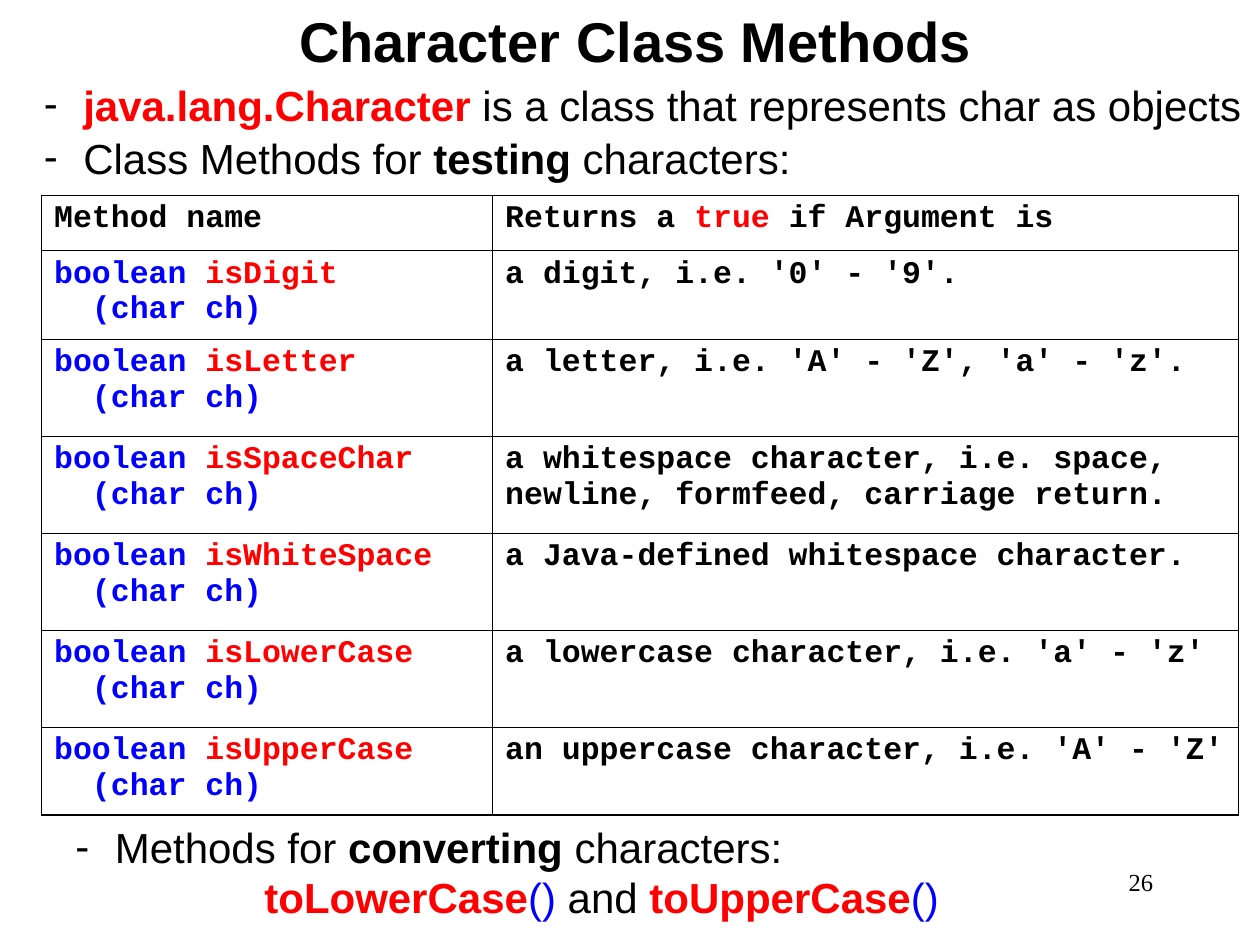
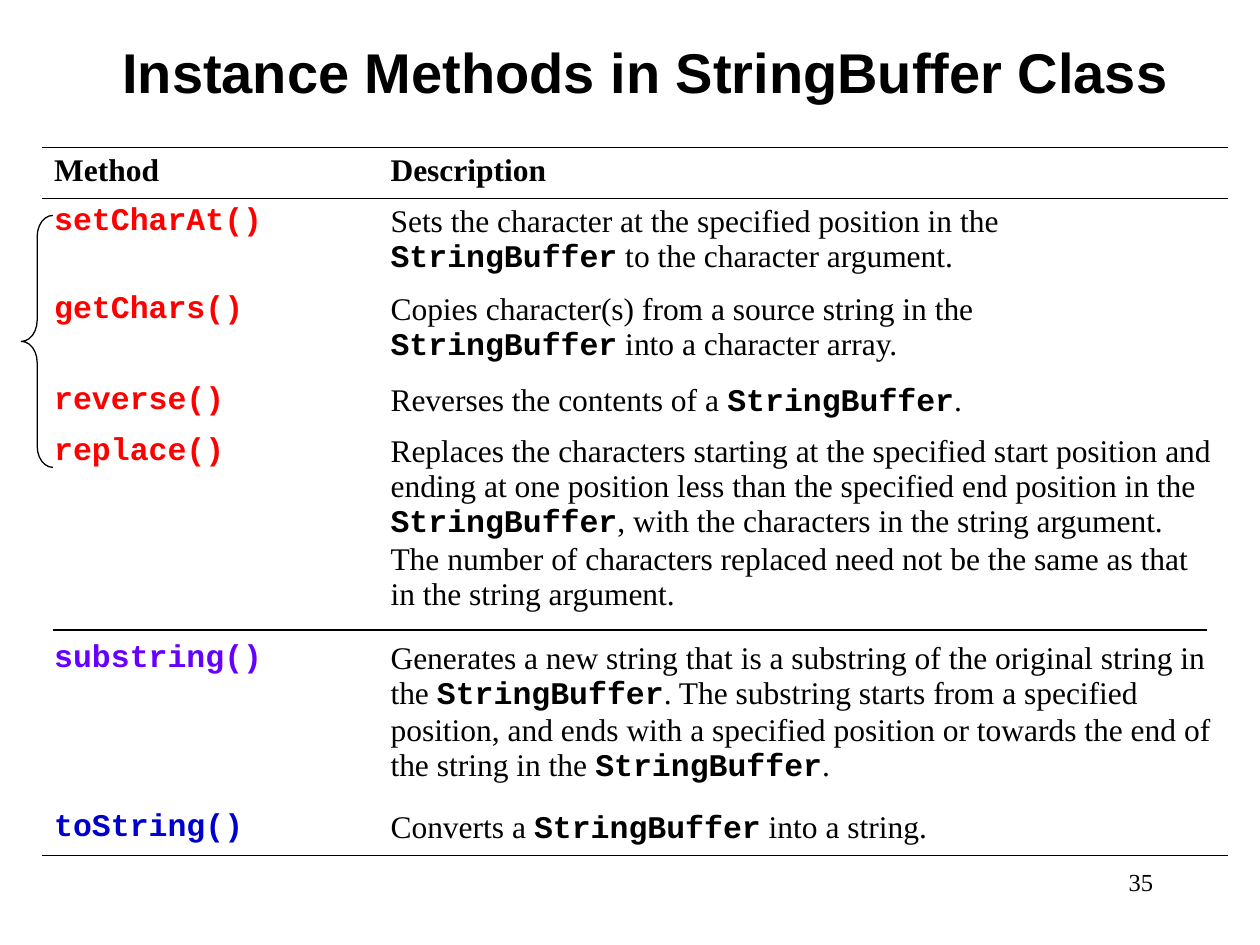
from dataclasses import dataclass
from typing import NamedTuple

import pptx
import pptx.dml.color
import pptx.enum.shapes
import pptx.enum.text
import pptx.oxml
import pptx.oxml.ns
import pptx.util

Inches = pptx.util.Inches
Pt = pptx.util.Pt
ALIGN = pptx.enum.text.PP_ALIGN

COLORS = {
    "black": "000000",
    "red": "FF0000",
    "blue": "0000FF",
    "navy": "0000CC",
    "violet": "6600FF",
}
SANS, MONO, SERIF = "Arial", "Courier New", "Times New Roman"
THIN, THICK = 0.34, 0.96


class Span(NamedTuple):
    text: str
    font: str = SANS
    color: str = "black"
    bold: bool = False


@dataclass
class Line:
    spans: list[Span]
    indent: float = 0
    bullet: bool = False


class Box(NamedTuple):
    left: float
    top: float
    width: float
    height: float

    def lengths(self) -> list[int]:
        return [Inches(value) for value in self]


class TableRow(NamedTuple):
    height: float
    cells: list[list[Line]]


def code(text: str, color: str = "black") -> Span:
    return Span(text, MONO, color, True)


def prose(text: str) -> Span:
    return Span(text, SERIF)


def rgb(name: str):
    return pptx.dml.color.RGBColor.from_string(COLORS[name])


def write_lines(text_frame, lines: list[Line], size: float, align=ALIGN.LEFT) -> None:
    text_frame.word_wrap = True
    for index, line in enumerate(lines):
        paragraph = text_frame.paragraphs[0] if index == 0 else text_frame.add_paragraph()
        paragraph.alignment = align
        properties = paragraph._p.get_or_add_pPr()
        properties.set("marL", str(Inches(line.indent)))
        properties.set("indent", str(-Inches(line.indent) if line.bullet else 0))
        if line.bullet:
            paragraph.space_before = Pt(1.5)
            namespace = pptx.oxml.ns.nsdecls("a")
            properties.append(pptx.oxml.parse_xml(f'<a:buFont {namespace} typeface="{SANS}"/>'))
            properties.append(pptx.oxml.parse_xml(f'<a:buChar {namespace} char="-"/>'))
        for span in line.spans:
            run = paragraph.add_run()
            run.text = span.text
            run.font.name = span.font
            run.font.size = Pt(size)
            run.font.bold = span.bold
            run.font.color.rgb = rgb(span.color)


def add_text(slide, box: Box, lines: list[Line], size: float, align=ALIGN.LEFT) -> None:
    shape = slide.shapes.add_textbox(*box.lengths())
    write_lines(shape.text_frame, lines, size, align)


def add_titled_slide(presentation, title: str, title_box: Box, number: int):
    """Add a blank slide with its heading and page number."""
    slide = presentation.slides.add_slide(presentation.slide_layouts[6])
    add_text(slide, title_box, [Line([Span(title, bold=True)])], 32, ALIGN.CENTER)
    add_text(slide, Box(7.17, 6.83, 2.08, 0.5), [Line([prose(str(number))])], 14, ALIGN.RIGHT)
    return slide


def set_borders(cell, widths: dict[str, float]) -> None:
    """Draw the sides named in widths (L, R, T, B) and clear the others."""
    properties = cell._tc.get_or_add_tcPr()
    namespace = pptx.oxml.ns.nsdecls("a")
    for side in "LRTB":
        width = widths.get(side, 0)
        paint = (
            f'<a:solidFill><a:srgbClr val="{COLORS["black"]}"/></a:solidFill>'
            if width else "<a:noFill/>"
        )
        properties.append(pptx.oxml.parse_xml(
            f'<a:ln{side} {namespace} w="{Pt(width)}">{paint}</a:ln{side}>'
        ))


def add_method_table(slide, box: Box, columns: list[float], rows: list[TableRow], grid: bool) -> None:
    """Add a table with thick top and bottom rules, and thin inner lines if grid is set."""
    table = slide.shapes.add_table(len(rows), len(columns), *box.lengths()).table
    table.first_row = table.horz_banding = False
    for column, width in zip(table.columns, columns):
        column.width = Inches(width)
    last = len(rows) - 1
    for index, row in enumerate(rows):
        table.rows[index].height = Inches(row.height)
        borders = dict.fromkeys("LRTB", THIN) if grid else {}
        if index == 0:
            borders["T"] = THICK
        if index == last:
            borders["B"] = THICK
        if index == 0:
            borders["B"] = THIN
        if index == 1:
            borders["T"] = THIN
        for column_index, lines in enumerate(row.cells):
            cell = table.cell(index, column_index)
            write_lines(cell.text_frame, lines, 18)
            set_borders(cell, borders)
            cell.fill.background()


def test_row(height: float, method: str, meaning: str) -> TableRow:
    signature = [
        Line([code("boolean ", "blue"), code(method, "red")]),
        Line([code("(char ch)", "blue")], indent=0.3),
    ]
    return TableRow(height, [signature, [Line([code(meaning)])]])


def buffer_row(height: float, method: str, color: str, *lines: list[Span]) -> TableRow:
    return TableRow(height, [[Line([code(method, color)])], [Line(spans) for spans in lines]])


def build_character_slide(presentation) -> None:
    slide = add_titled_slide(presentation, "Character Class Methods", Box(0.92, 0, 8.25, 0.64), 26)
    heading = TableRow(0.44, [
        [Line([code("Method name")])],
        [Line([code("Returns a "), code("true ", "red"), code("if Argument is")])],
    ])
    rows = [
        heading,
        test_row(0.7, "isDigit", "a digit, i.e. '0' - '9'."),
        test_row(0.77, "isLetter", "a letter, i.e. 'A' - 'Z', 'a' - 'z'."),
        test_row(0.77, "isSpaceChar",
                 "a whitespace character, i.e. space, newline, formfeed, carriage return."),
        test_row(0.77, "isWhiteSpace", "a Java-defined whitespace character."),
        test_row(0.77, "isLowerCase", "a lowercase character, i.e. 'a' - 'z'"),
        test_row(0.7, "isUpperCase", "an uppercase character, i.e. 'A' - 'Z'"),
    ]
    add_method_table(slide, Box(0.33, 1.55, 9.5, 4.92), [3.58, 5.92], rows, grid=True)
    add_text(slide, Box(0.5, 6.47, 8.92, 0.9), [
        Line([Span(" Methods for "), Span("converting", bold=True), Span(" characters:")],
             indent=0.22, bullet=True),
        Line([
            Span("toLowerCase", color="red", bold=True), Span("() ", color="blue"), Span("and "),
            Span("toUpperCase", color="red", bold=True), Span("()", color="blue"),
        ], indent=1.5),
    ], 24)
    add_text(slide, Box(0.25, 0.58, 9.75, 0.9), [
        Line([Span(" "), Span("java.lang.Character", color="red", bold=True),
              Span(" is a class that represents char as objects")], indent=0.22, bullet=True),
        Line([Span(" Class Methods for "), Span("testing", bold=True), Span(" characters:")],
             indent=0.22, bullet=True),
    ], 24)


def build_buffer_slide(presentation) -> None:
    slide = add_titled_slide(
        presentation, "Instance Methods in StringBuffer Class", Box(0.75, 0.25, 8.75, 0.64), 35)
    buffer = code("StringBuffer")
    heading = TableRow(0.4, [
        [Line([Span(label, SERIF, bold=True)])] for label in ("Method", "Description")
    ])
    rows = [
        heading,
        buffer_row(0.7, "setCharAt()", "red", [
            prose("Sets the character at the specified position in the "), buffer,
            prose(" to the character argument.")]),
        buffer_row(0.72, "getChars()", "red",
                   [prose("Copies character(s) from a source string in the")],
                   [buffer, prose(" into a character array.")]),
        buffer_row(0.41, "reverse()", "red", [
            prose("Reverses the contents of a "), buffer, prose(".")]),
        buffer_row(1.64, "replace()", "red", [
            prose("Replaces the characters starting at the specified start position and ending "
                  "at one position less than the specified end position in the "), buffer,
            prose(", with the characters in the string argument. The number of characters "
                  "replaced need not be the same as that in the string argument.")]),
        buffer_row(1.34, "substring()", "violet", [
            prose("Generates a new string that is a substring of the original string in the "),
            buffer,
            prose(". The substring starts from a specified position, and ends with a specified "
                  "position or towards the end of the string in the "), buffer, prose(".")]),
        buffer_row(0.41, "toString()", "navy", [
            prose("Converts a "), buffer, prose(" into a string.")]),
    ]
    add_method_table(slide, Box(0.33, 1.17, 9.42, 5.63), [2.67, 6.75], rows, grid=False)

    brace = slide.shapes.add_shape(
        pptx.enum.shapes.MSO_SHAPE.LEFT_BRACE, *Box(0.17, 1.71, 0.25, 2).lengths())
    brace.shadow.inherit = False
    brace.adjustments[0] = 0.67
    brace.fill.background()
    divider = slide.shapes.add_connector(
        pptx.enum.shapes.MSO_CONNECTOR.STRAIGHT, Inches(0.42), Inches(5), Inches(9.58), Inches(5))
    divider._element.spPr.append(
        pptx.oxml.parse_xml(f'<a:effectLst {pptx.oxml.ns.nsdecls("a")}/>'))
    for shape in (brace, divider):
        shape.line.color.rgb = rgb("black")
        shape.line.width = Pt(0.75)


def main() -> None:
    presentation = pptx.Presentation()
    presentation.slide_width = Inches(10)
    presentation.slide_height = Inches(7.5)
    build_character_slide(presentation)
    build_buffer_slide(presentation)
    presentation.save("out.pptx")


if __name__ == "__main__":
    main()
